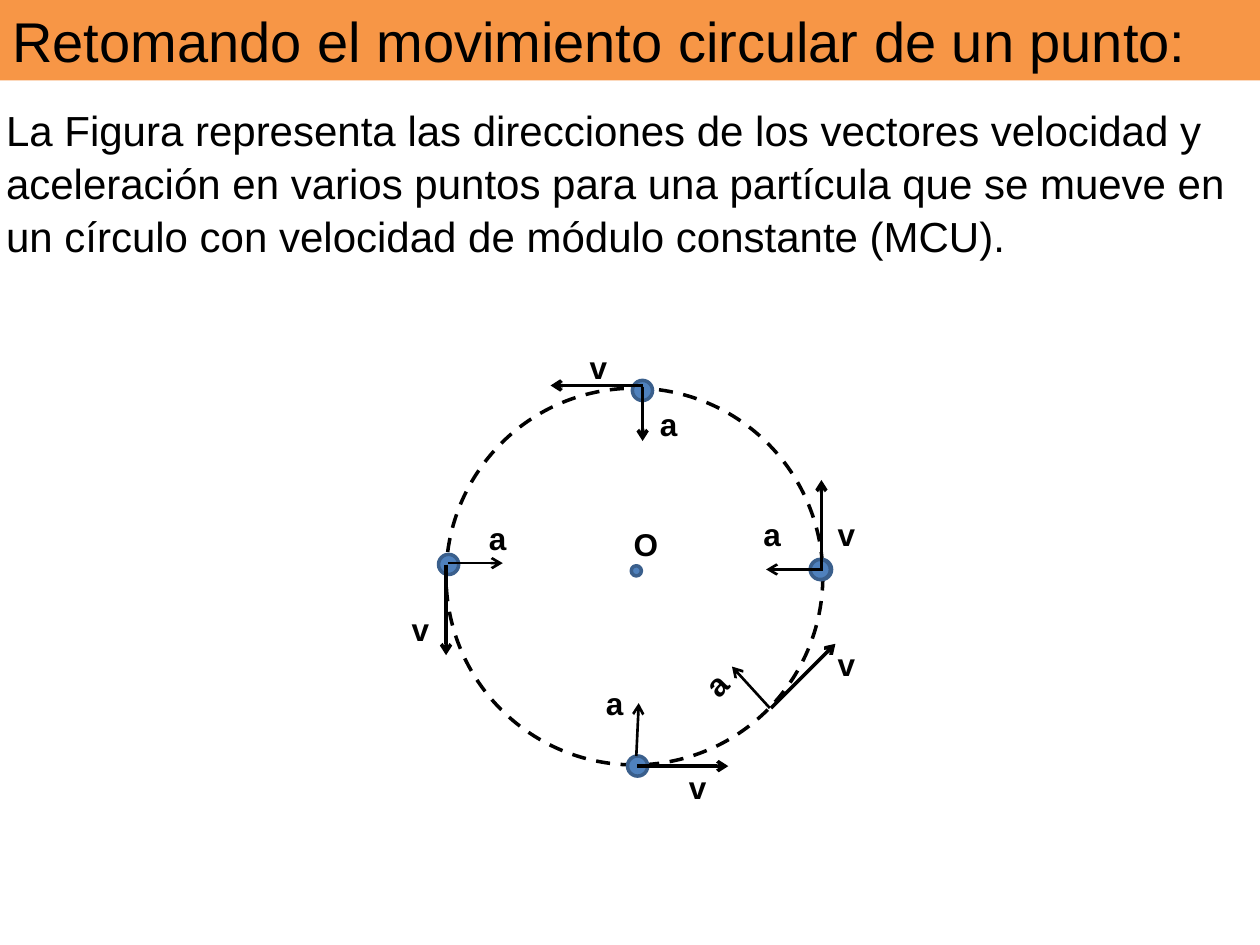
from lxml.etree import SubElement
from pptx import Presentation
from pptx.dml.color import RGBColor
from pptx.enum.dml import MSO_LINE
from pptx.enum.shapes import MSO_CONNECTOR, MSO_SHAPE
from pptx.enum.text import MSO_ANCHOR, PP_ALIGN
from pptx.oxml.ns import qn
from pptx.util import Pt

BLACK = RGBColor(0x00, 0x00, 0x00)
ORANGE = RGBColor(0xF7, 0x96, 0x46)
BLUE = RGBColor(0x4F, 0x81, 0xBD)
DARK_BLUE = RGBColor(0x3A, 0x5F, 0x8C)


def write_text(shape, text, size=18, bold=False, spacing=1.0):
    frame = shape.text_frame
    frame.word_wrap = True
    frame.vertical_anchor = MSO_ANCHOR.TOP
    paragraph = frame.paragraphs[0]
    paragraph.alignment = PP_ALIGN.LEFT
    paragraph.line_spacing = spacing
    run = paragraph.add_run()
    run.text = text
    run.font.name = "Arial"
    run.font.size = Pt(size)
    run.font.bold = bold
    run.font.color.rgb = BLACK


def add_circle(left, top, diameter, line_color):
    circle = shapes.add_shape(MSO_SHAPE.OVAL, Pt(left), Pt(top), Pt(diameter), Pt(diameter))
    circle.shadow.inherit = False
    circle.line.color.rgb = line_color
    circle.line.width = Pt(2)
    return circle


presentation = Presentation()
presentation.slide_width = Pt(720)
presentation.slide_height = Pt(540)
slide = presentation.slides.add_slide(presentation.slide_layouts[6])
shapes = slide.shapes

# Explanation
explanation = shapes.add_textbox(Pt(-3.6), Pt(54.7), Pt(720), Pt(96.5))
write_text(
    explanation,
    "La Figura representa las direcciones de los vectores velocidad y "
    "aceleración en varios puntos para una partícula que se mueve en un "
    "círculo con velocidad de módulo constante (MCU).",
    size=24,
    spacing=1.05,
)

# Dashed trajectory
trajectory = add_circle(254.9, 221.8, 215.3, BLACK)
trajectory.fill.background()
trajectory.line.dash_style = MSO_LINE.DASH

# Particle positions and centre: left, top, diameter
for left, top, diameter in [
    (463.7, 319.7, 11.5),
    (361.4, 217.4, 11.5),
    (463, 319.7, 11.5),
    (250.6, 316.8, 11.5),
    (358.6, 432, 11.5),
    (360.7, 323.3, 5.8),
]:
    particle = add_circle(left, top, diameter, DARK_BLUE)
    particle.fill.solid()
    particle.fill.fore_color.rgb = BLUE

# Acceleration and velocity vectors: start, end, line width
for x1, y1, x2, y2, width in [
    (367.2, 221, 367.2, 252, 2),
    (363.6, 432, 365, 401.8, 1.5),
    (469.4, 325.4, 437.8, 325.4, 1.5),
    (256.3, 321.8, 287.3, 321.8, 1.5),
    (439.9, 404.6, 418.3, 380.9, 1.5),
    (469.4, 326.2, 469.4, 274.3, 2),
    (364.3, 437.8, 416.2, 437.8, 2),
    (367.2, 220.3, 314.6, 220.3, 2),
    (254.9, 322.6, 254.9, 374.4, 2),
    (440.6, 404.6, 477.4, 367.9, 2),
]:
    vector = shapes.add_connector(MSO_CONNECTOR.STRAIGHT, Pt(x1), Pt(y1), Pt(x2), Pt(y2))
    vector.line.color.rgb = BLACK
    vector.line.width = Pt(width)
    SubElement(vector.line._get_or_add_ln(), qn("a:tailEnd"), type="arrow")
    SubElement(vector._element.spPr, qn("a:effectLst"))

# Labels: text, left, top, rotation
for name, left, top, rotation in [
    ("v", 228.2, 344.9, 0),
    ("v", 329.8, 195.1, 0),
    ("v", 471.6, 290.9, 0),
    ("v", 386.6, 435.6, 0),
    ("v", 471.6, 365, 0),
    ("a", 370, 228.2, 0),
    ("a", 272.2, 293, 0),
    ("a", 429.1, 290.9, 0),
    ("a", 339.1, 387.4, 0),
    ("a", 397.4, 377.3, 314.5),
    ("O", 355, 296.6, 0),
]:
    label = shapes.add_textbox(Pt(left), Pt(top), Pt(23), Pt(28.8))
    label.rotation = rotation
    write_text(label, name, bold=True)

# Title band
title = shapes.add_shape(MSO_SHAPE.RECTANGLE, Pt(0), Pt(0), Pt(720), Pt(46))
title.shadow.inherit = False
title.fill.solid()
title.fill.fore_color.rgb = ORANGE
title.line.fill.background()
write_text(title, "Retomando el movimiento circular de un punto:", size=32)

presentation.save("out.pptx")
